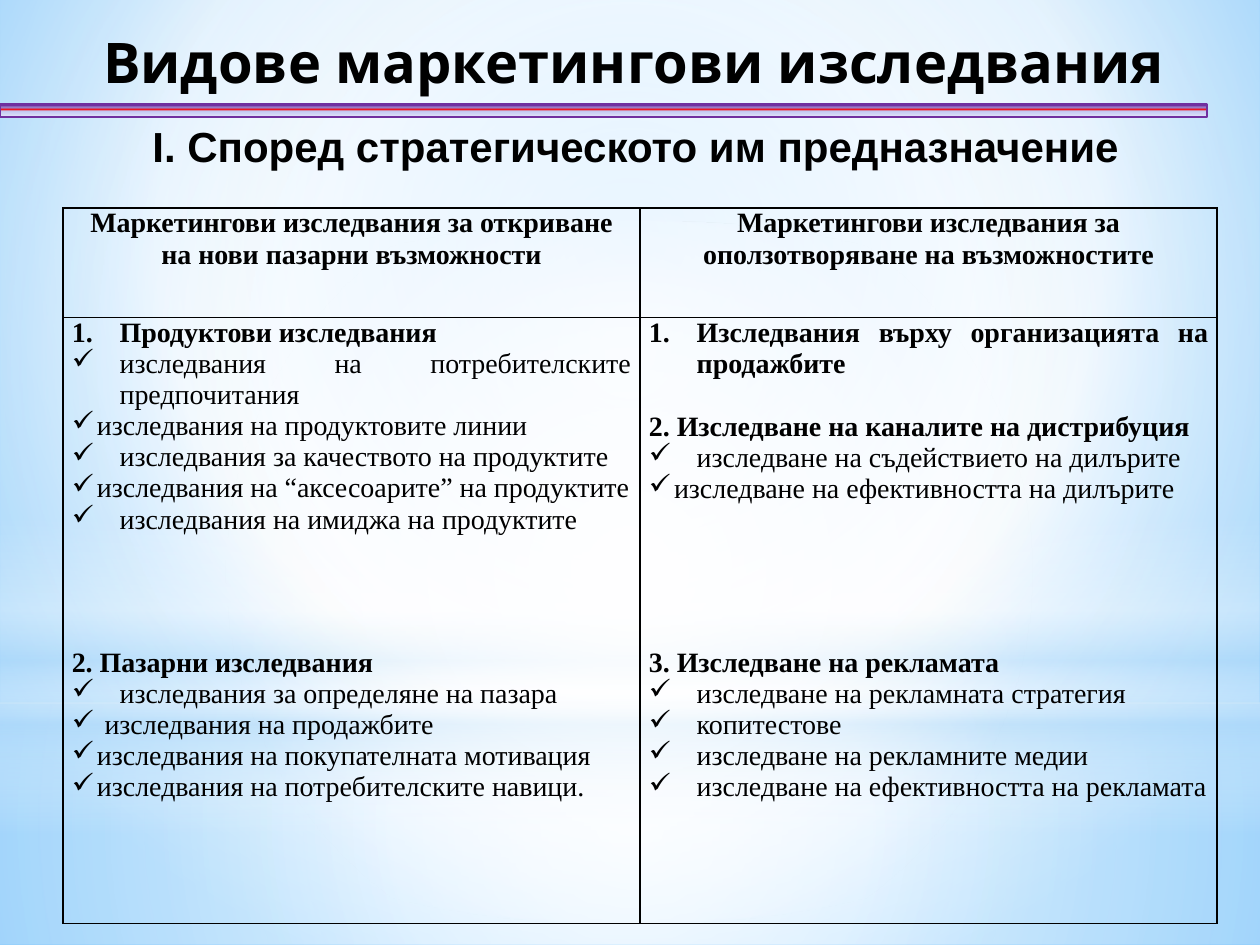
from lxml import etree
from pptx import Presentation, util as u
from pptx.dml.color import RGBColor
from pptx.enum import shapes, text
from pptx.oxml.ns import qn

# Content
TITLE = "Видове маркетингови изследвания"
SUBTITLE = "I. Според стратегическото им предназначение"
HEADERS = ["Маркетингови изследвания за откриване на нови пазарни възможности",
           "Маркетингови изследвания за оползотворяване на възможностите"]
WIDE, MID, NARROW = 0.38, 0.26, 0.2  # hanging indents
# Each item: (marker, hanging indent, wording)
SECTIONS = [
    [[("1.", WIDE, "Продуктови изследвания"),
      ("✓", WIDE, "изследвания на потребителските предпочитания"),
      ("✓", NARROW, "изследвания на продуктовите линии"),
      ("✓", WIDE, "изследвания за качеството на продуктите"),
      ("✓", NARROW, "изследвания на “аксесоарите” на продуктите"),
      ("✓", WIDE, "изследвания на имиджа на продуктите")],
     [("1.", WIDE, "Изследвания върху организацията на продажбите"),
      ("", NARROW, "2. Изследване на каналите на дистрибуция"),
      ("✓", WIDE, "изследване на съдействието на дилърите"),
      ("✓", NARROW, "изследване на ефективността на дилърите")]],
    [[("", WIDE, "2. Пазарни изследвания"),
      ("✓", WIDE, "изследвания за определяне на пазара"),
      ("✓", MID, "изследвания на продажбите"),
      ("✓", NARROW, "изследвания на покупателната мотивация"),
      ("✓", NARROW, "изследвания на потребителските навици.")],
     [("", NARROW, "3. Изследване на рекламата"),
      ("✓", WIDE, "изследване на рекламната стратегия"),
      ("✓", WIDE, "копитестове"),
      ("✓", WIDE, "изследване на рекламните медии"),
      ("✓", WIDE, "изследване на ефективността на рекламата")]],
]
ROW_HEIGHTS = [0.87, 2.62, 2.19]
ROW_BORDERS = ["LRTB", "LRT", "LRB"]
TABLE_LEFT, TABLE_TOP, COLUMN = 0.5, 1.65, 4.58

# Gradients: stops are (position, colour, opacity); a list is a circle's focus, a number an angle
CENTRE = [50, 50, 50, 50]
BACKDROP = [(0, "9ED5FF", 100), (60, "FFFFFF", 100), (100, "5BB9FF", 100)]
GLOWS = [
    ("RECTANGLE", (0, 5.58, 10, 1.92), CENTRE,
     [(0, "FFFFFF", 91), (37, "FFFFFF", 76), (100, "B4DCFA", 79)]),
    ("RECTANGLE", (0, 0, 10, 5.58), CENTRE,
     [(0, "FFFFFF", 89), (48, "FFFFFF", 62), (100, "B4DCFA", 79)]),
    ("RECTANGLE", (0, 4.12, 10, 2.5), 90,
     [(0, "FFFFFF", 0), (29, "FFFFFF", 30), (45, "B4DCFA", 40),
      (55, "FFFFFF", 26), (65, "B4DCFA", 60), (100, "FFFFFF", 0)]),
    ("OVAL", (0, 1.75, 10, 5.58), CENTRE, [(0, "FFFFFF", 100), (56, "FFFFFF", 0)]),
]
RULE_BOX = (0, 0.83, 9.58, 0.1)
RULE = [(0, "7030A0", 100), (25, "987CC9", 100), (43, "FF0000", 100),
        (50, "C1C7F2", 100), (100, "E1E3F8", 100)]


def colour(value):
    return RGBColor.from_string(value)


def inches(values):
    return [u.Inches(v) for v in values]


def child(parent, tag, **attributes):
    return etree.SubElement(parent, qn(tag), {k: str(v) for k, v in attributes.items()})


def paint_gradient(properties, stops, direction):
    """Replace the solid fill in the properties with a gradient."""
    solid = properties.find(qn("a:solidFill"))
    grad = etree.Element(qn("a:gradFill"), rotWithShape="1")
    stop_list = child(grad, "a:gsLst")
    for position, value, opacity in stops:
        stop = child(stop_list, "a:gs", pos=position * 1000)
        tint = child(stop, "a:srgbClr", val=value)
        if opacity < 100:
            child(tint, "a:alpha", val=opacity * 1000)
    if isinstance(direction, list):
        focus = child(grad, "a:path", path="circle")
        child(focus, "a:fillToRect", **{k: v * 1000 for k, v in zip("ltrb", direction)})
    else:
        child(grad, "a:lin", ang=direction * 60000, scaled=0)
    properties.replace(solid, grad)


def add_glow(slide, kind, box, direction, stops):
    shape = slide.shapes.add_shape(getattr(shapes.MSO_SHAPE, kind), *inches(box))
    shape.shadow.inherit = False
    shape.fill.solid()
    paint_gradient(shape.element.spPr, stops, direction)
    shape.line.fill.background()
    return shape


def write(paragraph, wording, font, size, bold, align):
    run = paragraph.add_run()
    run.text = wording
    for key, value in dict(name=font, size=u.Pt(size), bold=bold).items():
        setattr(run.font, key, value)
    run.font.color.rgb = colour("000000")
    paragraph.alignment = align


def write_heading(shape, box, wording, font, size):
    for key, value in zip(("left", "top", "width", "height"), inches(box)):
        setattr(shape, key, value)
    frame = shape.text_frame
    frame.word_wrap = True
    frame.vertical_anchor = text.MSO_ANCHOR.TOP
    frame.auto_size = text.MSO_AUTO_SIZE.SHAPE_TO_FIT_TEXT
    write(frame.paragraphs[0], wording, font, size, True, text.PP_ALIGN.CENTER)


def style_cell(cell, sides):
    cell.fill.background()
    margins = dict(margin_left=0.07, margin_right=0.07, margin_top=0, margin_bottom=0)
    for key, value in margins.items():
        setattr(cell, key, u.Inches(value))
    properties = cell._tc.get_or_add_tcPr()
    for index, side in enumerate("LRTB"):
        border = etree.Element(qn(f"a:ln{side}"), w=str(u.Pt(1)))
        if side in sides:
            child(child(border, "a:solidFill"), "a:srgbClr", val="000000")
        else:
            child(border, "a:noFill")
        properties.insert(index, border)


def write_items(frame, items):
    for index, (marker, indent, wording) in enumerate(items):
        paragraph = frame.add_paragraph() if index else frame.paragraphs[0]
        properties = paragraph._p.get_or_add_pPr()
        properties.set("marL", str(u.Inches(indent)))
        properties.set("indent", str(-u.Inches(indent)))
        if marker == "1.":
            child(properties, "a:buAutoNum", type="arabicPeriod")
        elif marker:
            child(properties, "a:buChar", char=marker)
        else:
            child(properties, "a:buNone")
        is_heading = marker != "✓"
        if index and is_heading:
            paragraph.space_before = u.Pt(18)
        write(paragraph, wording, "Times New Roman", 16, is_heading, text.PP_ALIGN.JUSTIFY)


def main():
    deck = Presentation()
    deck.slide_width, deck.slide_height = inches((10, 7.5))
    slide = deck.slides.add_slide(deck.slide_layouts[5])

    # Backdrop, glows and the rule under the title
    slide.background.fill.solid()
    paint_gradient(slide.element.cSld.bg.bgPr, BACKDROP, [20, 10, 20, 60])
    for kind, box, direction, stops in GLOWS:
        add_glow(slide, kind, box, direction, stops)
    rule = add_glow(slide, "RECTANGLE", RULE_BOX, 90, RULE)
    rule.line.color.rgb = colour("7030A0")
    rule.line.width = u.Pt(1.25)

    # Title, moved in front of the glows
    title = slide.shapes.title
    write_heading(title, (0.25, 0.17, 9.56, 0.64), TITLE, "Karla", 32)
    rule.element.addnext(title.element)

    # Table of research kinds
    columns = len(HEADERS)
    table = slide.shapes.add_table(
        len(ROW_HEIGHTS), columns,
        *inches((TABLE_LEFT, TABLE_TOP, columns * COLUMN, sum(ROW_HEIGHTS)))).table
    table.first_row = table.horz_banding = False
    for column in table.columns:
        column.width = u.Inches(COLUMN)
    for r, (height, sides) in enumerate(zip(ROW_HEIGHTS, ROW_BORDERS)):
        table.rows[r].height = u.Inches(height)
        for c in range(columns):
            cell = table.cell(r, c)
            style_cell(cell, sides)
            if r == 0:
                write(cell.text_frame.paragraphs[0], HEADERS[c],
                      "Times New Roman", 16, True, text.PP_ALIGN.CENTER)
            else:
                write_items(cell.text_frame, SECTIONS[r - 1][c])

    # Subtitle
    subtitle_box = (0.42, 0.91, 9.25, 0.5)
    subtitle = slide.shapes.add_textbox(*inches(subtitle_box))
    write_heading(subtitle, subtitle_box, SUBTITLE, "Arial", 24)

    deck.save("out.pptx")


if __name__ == "__main__":
    main()
